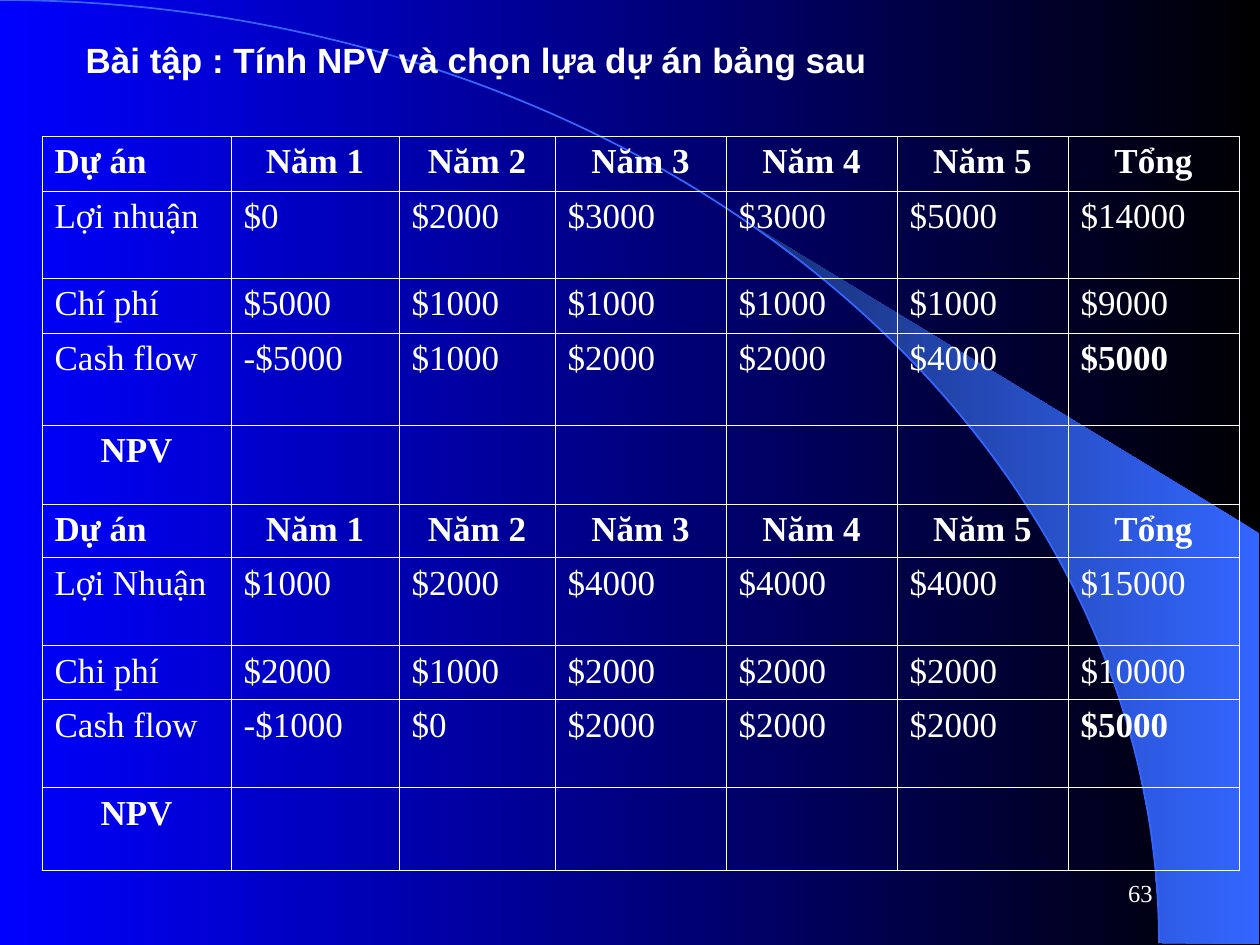
import math
from dataclasses import dataclass

from lxml import etree
from pptx import Presentation
from pptx import util as u
from pptx.dml.color import RGBColor
from pptx.enum import shapes, text
from pptx.oxml import ns

PX = 914400 / 126
WHITE, BLACK, BLUE, SKY, NAVY = "FFFFFF", "000000", "0000FF", "3366FF", "172F75"
SERIF, SANS = "Times New Roman", "Arial"
ARC_RX, ARC_RY = 1159, 943
COLUMNS = [189, 168, 156] + [171] * 4
HEADINGS = ["Dự án", "Năm 1", "Năm 2", "Năm 3", "Năm 4", "Năm 5", "Tổng"]


@dataclass
class Project:
    rows: list[list[str]]
    heights: list[int]


PROJECTS = [
    Project(
        [["Lợi nhuận", "$0", "$2000", "$3000", "$3000", "$5000", "$14000"],
         ["Chí phí", "$5000", "$1000", "$1000", "$1000", "$1000", "$9000"],
         ["Cash flow", "-$5000", "$1000", "$2000", "$2000", "$4000", "$5000"]],
        [55, 87, 55, 92, 79],
    ),
    Project(
        [["Lợi Nhuận", "$1000", "$2000", "$4000", "$4000", "$4000", "$15000"],
         ["Chi phí", "$2000", "$1000", "$2000", "$2000", "$2000", "$10000"],
         ["Cash flow", "-$1000", "$0", "$2000", "$2000", "$2000", "$5000"]],
        [54, 88, 54, 88, 83],
    ),
]


def px(length: float) -> int:
    return u.Emu(round(length * PX))


def colour(value: str) -> RGBColor:
    return RGBColor.from_string(value)


def apply(target, values: dict) -> None:
    for name, value in values.items():
        setattr(target, name, value)


def write(frame, words: str, align, font: dict) -> None:
    paragraph = frame.paragraphs[0]
    paragraph.alignment = align
    run = paragraph.add_run()
    run.text = words
    apply(run.font, font)
    run.font.color.rgb = colour(WHITE)


def fill_gradient(fill, start: str, end: str) -> None:
    """Run from start at the right to end at the left."""
    fill.gradient()
    fill.gradient_angle = 180
    for stop, value in zip(fill.gradient_stops, (start, end)):
        stop.color.rgb = colour(value)


def add_backdrop(slide) -> None:
    fill_gradient(slide.background.fill, BLACK, BLUE)

    # Wedge between the arc and the right edge
    first = math.asin(742 / ARC_RX)
    steps = 40
    angles = [first + (math.pi / 2 - first) * i / steps for i in range(steps + 1)]
    curve = [(round(ARC_RX * math.sin(a)), round(ARC_RY * (1 - math.cos(a))))
             for a in angles]
    builder = slide.shapes.build_freeform(*curve[0], scale=PX)
    builder.add_line_segments(curve[1:] + [(1259, 944), (1259, 533)], close=True)
    wedge = builder.convert_to_shape()
    wedge.shadow.inherit = False
    wedge.line.fill.background()
    fill_gradient(wedge.fill, SKY, NAVY)

    # Quarter-ellipse outline
    arc = slide.shapes.add_shape(shapes.MSO_SHAPE.ARC, px(-ARC_RX), 0,
                                 px(2 * ARC_RX), px(2 * ARC_RY))
    arc.shadow.inherit = False
    arc.fill.background()
    arc.line.color.rgb = colour(SKY)
    arc.line.width = u.Pt(1)


def set_borders(cell) -> None:
    properties = cell._tc.get_or_add_tcPr()
    for index, side in enumerate(("lnL", "lnR", "lnT", "lnB")):
        line = etree.Element(ns.qn(f"a:{side}"), w=str(u.Pt(0.45)))
        solid = etree.SubElement(line, ns.qn("a:solidFill"))
        etree.SubElement(solid, ns.qn("a:srgbClr"), val=WHITE)
        properties.insert(index, line)


def add_project_table(slide):
    rows, heights = [], []
    for project in PROJECTS:
        rows += [HEADINGS, *project.rows, ["NPV"] + [""] * 6]
        heights += project.heights
    frame = slide.shapes.add_table(len(rows), len(COLUMNS), px(42), px(136),
                                   px(sum(COLUMNS)), px(sum(heights)))
    table = frame.table
    apply(table, {"first_row": False, "horz_banding": False})
    for column, width in zip(table.columns, COLUMNS):
        column.width = px(width)
    for r, (row, height) in enumerate(zip(rows, heights)):
        table.rows[r].height = px(height)
        label = row[0]
        for c, words in enumerate(row):
            cell = table.cell(r, c)
            cell.fill.background()
            set_borders(cell)
            if not words:
                continue
            heading = row is HEADINGS
            centred = label == "NPV" or heading and c > 0
            bold = heading or label == "NPV" or label == "Cash flow" and c == 6
            align = text.PP_ALIGN.CENTER if centred else text.PP_ALIGN.LEFT
            write(cell.text_frame, words, align,
                  {"name": SERIF, "size": u.Pt(20), "bold": bold})
    return frame


def main() -> None:
    presentation = Presentation()
    apply(presentation, {"slide_width": px(1260), "slide_height": px(945)})
    slide = presentation.slides.add_slide(presentation.slide_layouts[5])
    add_backdrop(slide)
    table_frame = add_project_table(slide)

    # Title, brought in front of the table
    title = slide.shapes.title
    apply(title, {"left": px(73), "top": px(32), "width": px(1029), "height": px(54)})
    apply(title.text_frame, {"word_wrap": True,
                             "auto_size": text.MSO_AUTO_SIZE.SHAPE_TO_FIT_TEXT,
                             "vertical_anchor": text.MSO_ANCHOR.TOP})
    write(title.text_frame, "Bài tập : Tính NPV và chọn lựa dự án bảng sau",
          text.PP_ALIGN.LEFT, {"name": SANS, "size": u.Pt(20), "bold": True})
    table_frame.element.addnext(title.element)

    # Page number
    number = slide.shapes.add_textbox(px(903), px(861), px(262), px(63))
    apply(number.text_frame, {"word_wrap": True,
                              "vertical_anchor": text.MSO_ANCHOR.MIDDLE})
    write(number.text_frame, "63", text.PP_ALIGN.RIGHT,
          {"name": SERIF, "size": u.Pt(14)})

    presentation.save("out.pptx")


if __name__ == "__main__":
    main()
